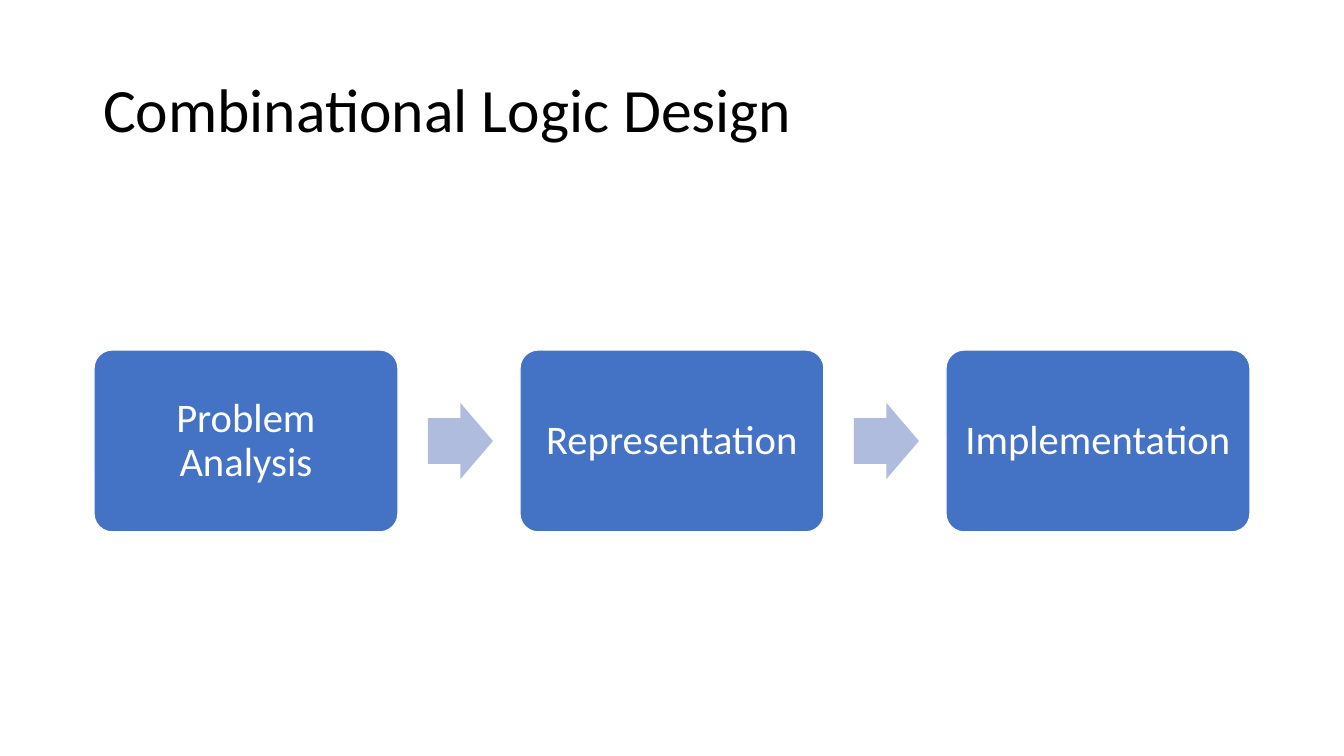
from pptx import Presentation
from pptx.dml.color import RGBColor
from pptx.enum.shapes import MSO_SHAPE as Preset
from pptx.enum.text import MSO_ANCHOR as Anchor, PP_ALIGN as Align
from pptx.util import Pt

HEADING = "Combinational Logic Design"
STEPS = ["Problem Analysis", "Representation", "Implementation"]

SCALE = 914400 / 100.8
FONT = "Calibri"
BLACK, WHITE, BLUE, PALE_BLUE = "000000", "FFFFFF", "4472C4", "B0BCDE"

STEP_LEFT, STEP_TOP, STEP_WIDTH, STEP_HEIGHT = 94, 350, 304, 182
STEP_PITCH = 426
ARROW_OFFSET, ARROW_WIDTH, ARROW_HEIGHT = 334, 65, 76
STEP_INSET = 12


def px(length):
    return round(length * SCALE)


def color(value):
    return RGBColor.from_string(value)


def write(frame, text, size, text_color, align):
    frame.text = text
    frame.word_wrap = True
    frame.vertical_anchor = Anchor.MIDDLE
    paragraph = frame.paragraphs[0]
    paragraph.alignment = align
    paragraph.line_spacing = 0.9
    font = paragraph.runs[0].font
    font.name = FONT
    font.size = Pt(size)
    font.color.rgb = color(text_color)


def add_block(slide, preset, box, fill, adjustments):
    block = slide.shapes.add_shape(preset, *map(px, box))
    block.shadow.inherit = False
    block.fill.solid()
    block.fill.fore_color.rgb = color(fill)
    block.line.fill.background()
    for index, amount in enumerate(adjustments):
        block.adjustments[index] = amount
    return block


def add_step(slide, text, left):
    box = (left, STEP_TOP, STEP_WIDTH, STEP_HEIGHT)
    step = add_block(slide, Preset.ROUNDED_RECTANGLE, box, BLUE, [0.1])
    step.line.color.rgb = color(WHITE)
    step.line.width = Pt(1)
    frame = step.text_frame
    frame.margin_left = frame.margin_right = px(STEP_INSET)
    frame.margin_top = frame.margin_bottom = px(STEP_INSET)
    write(frame, text, 29, WHITE, Align.CENTER)


def add_arrow(slide, left):
    top = STEP_TOP + (STEP_HEIGHT - ARROW_HEIGHT) // 2
    box = (left, top, ARROW_WIDTH, ARROW_HEIGHT)
    add_block(slide, Preset.RIGHT_ARROW, box, PALE_BLUE, [0.6, 0.5])


def main():
    deck = Presentation()
    deck.slide_width, deck.slide_height = px(1344), px(756)
    slide = deck.slides.add_slide(deck.slide_layouts[5])

    title = slide.shapes.title
    title.left, title.top, title.width, title.height = map(px, (93, 40, 1159, 146))
    write(title.text_frame, HEADING, 44, BLACK, Align.LEFT)

    for index, text in enumerate(STEPS):
        left = STEP_LEFT + index * STEP_PITCH
        add_step(slide, text, left)
        if index < len(STEPS) - 1:
            add_arrow(slide, left + ARROW_OFFSET)

    deck.save("out.pptx")


if __name__ == "__main__":
    main()
